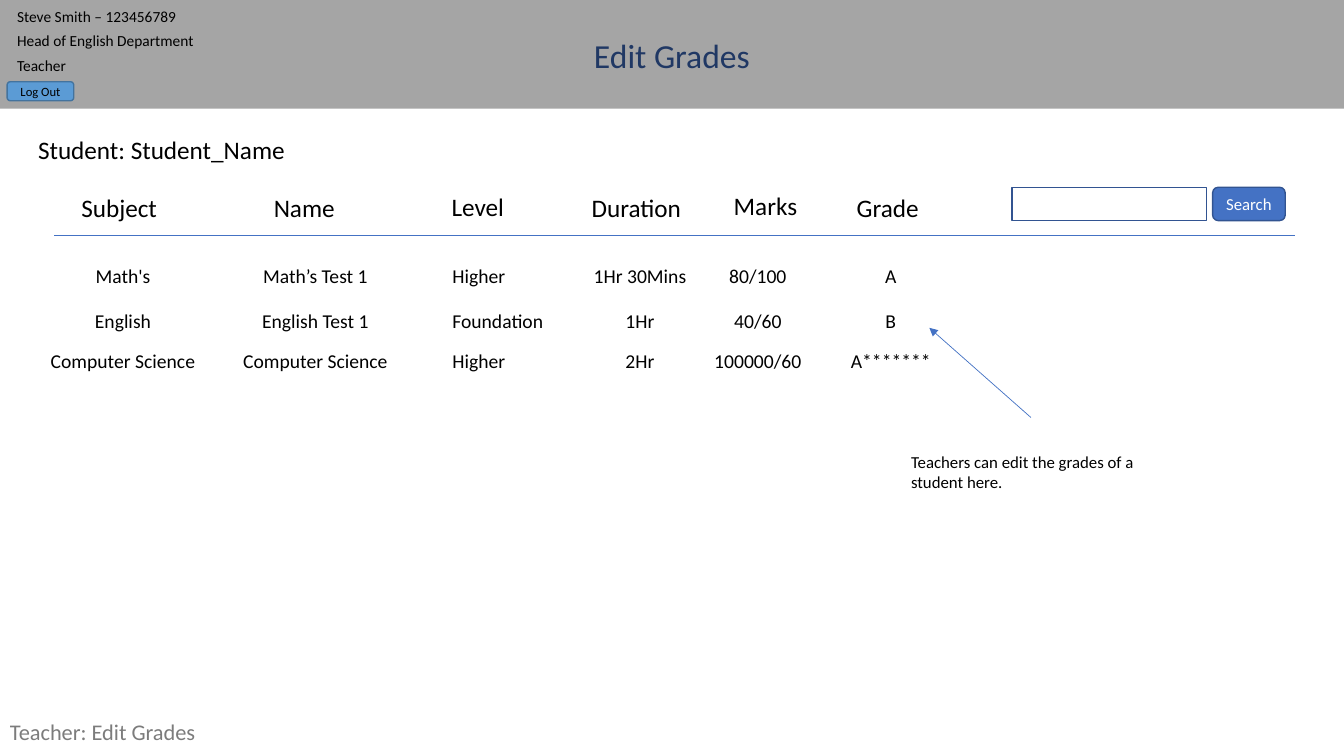
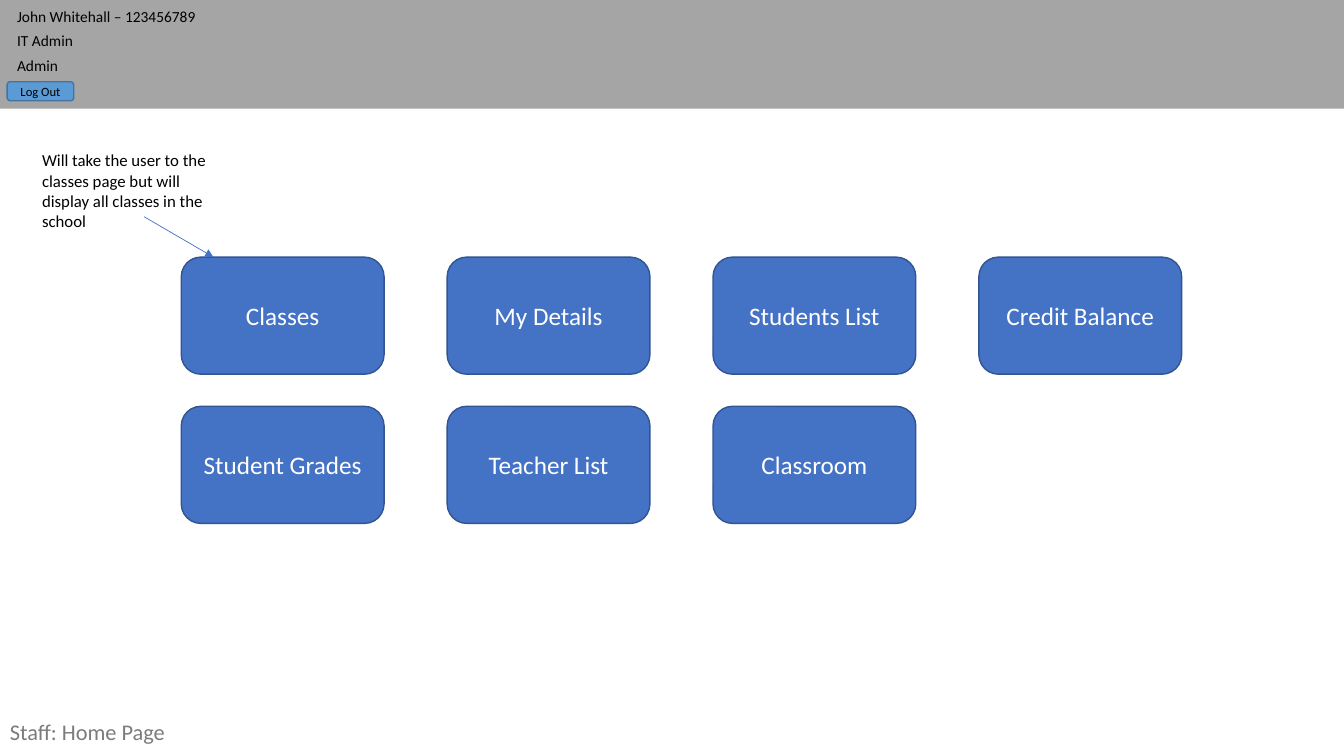
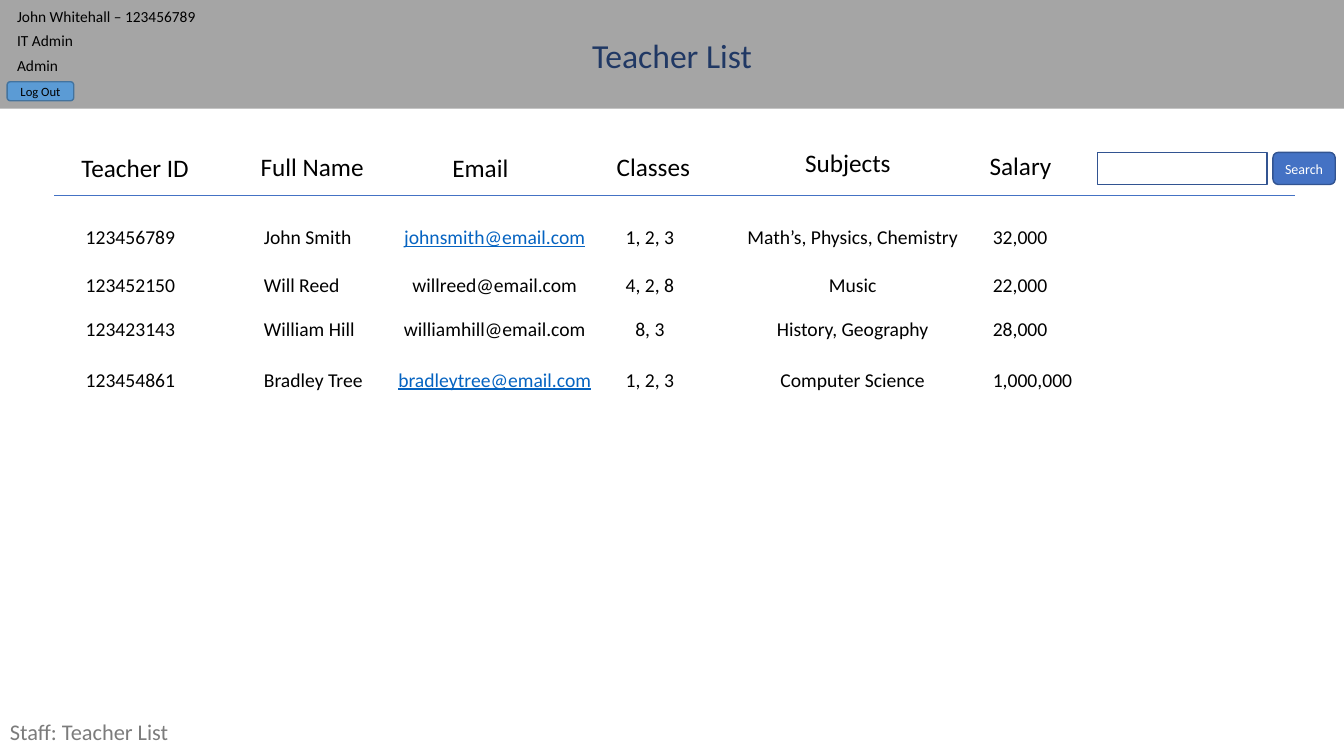
from pptx import Presentation
from pptx.dml.color import RGBColor
from pptx.enum.shapes import MSO_CONNECTOR, MSO_SHAPE
from pptx.enum.text import MSO_ANCHOR, PP_ALIGN
from pptx.oxml.ns import qn
from pptx.util import Cm, Pt
from lxml import etree

RECT, ROUNDED = MSO_SHAPE.RECTANGLE, MSO_SHAPE.ROUNDED_RECTANGLE
STRAIGHT = MSO_CONNECTOR.STRAIGHT
LEFT, CENTER = PP_ALIGN.LEFT, PP_ALIGN.CENTER
TOP, MIDDLE = MSO_ANCHOR.TOP, MSO_ANCHOR.MIDDLE

BLACK = RGBColor(0x00, 0x00, 0x00)
WHITE = RGBColor(0xFF, 0xFF, 0xFF)
BAND_GREY = RGBColor(0xA5, 0xA5, 0xA5)
FOOTER_GREY = RGBColor(0x7C, 0x7C, 0x7C)
NAVY = RGBColor(0x20, 0x38, 0x64)
BLUE = RGBColor(0x44, 0x72, 0xC4)
BLUE_EDGE = RGBColor(0x32, 0x54, 0x91)
LIGHT_BLUE = RGBColor(0x5B, 0x9B, 0xD5)
LIGHT_EDGE = RGBColor(0x43, 0x73, 0x9E)
LINK_BLUE = RGBColor(0x05, 0x63, 0xC1)

SLIDE_WIDTH, SLIDE_HEIGHT = 33.87, 19.05
LINKED = {"johnsmith@email.com", "bradleytree@email.com"}


def draw(slide, kind, box, fill=None, edge=None):
    shape = slide.shapes.add_shape(kind, *map(Cm, box))
    shape.shadow.inherit = False
    if fill is None:
        shape.fill.background()
    else:
        shape.fill.solid()
        shape.fill.fore_color.rgb = fill
    if edge is None:
        shape.line.fill.background()
    else:
        shape.line.color.rgb = edge
        shape.line.width = Pt(1)
    return shape


def write(shape, pieces, size, color=BLACK, align=LEFT, anchor=TOP):
    frame = shape.text_frame
    frame.word_wrap = True
    frame.vertical_anchor = anchor
    paragraph = frame.paragraphs[0]
    paragraph.alignment = align
    for piece in pieces:
        run = paragraph.add_run()
        run.text = piece
        linked = piece in LINKED
        look = {"name": "Calibri", "size": Pt(size), "underline": linked or None}
        for attribute, value in look.items():
            setattr(run.font, attribute, value)
        run.font.color.rgb = LINK_BLUE if linked else color
    return paragraph


deck = Presentation()
deck.slide_width, deck.slide_height = Cm(SLIDE_WIDTH), Cm(SLIDE_HEIGHT)

teacher = ["Steve Smith – 123456789", "Head of English Department", "Teacher"]
admin = ["John Whitehall – 123456789", "IT Admin", "Admin"]

pages = [
    {
        "user": teacher, "title": "Edit Grades", "footer": "Teacher: Edit Grades",
        "headings": [
            ("Subject", 1.8, 4.72, 2.5), ("Name", 6.65, 4.72, 2.1),
            ("Level", 11.13, 4.7, 1.9), ("Duration", 14.66, 4.72, 2.85),
            ("Marks", 18.24, 4.67, 2.2), ("Grade", 21.34, 4.72, 2.15),
            ("Student: Student_Name", 0.71, 3.25, 7.6),
        ],
        "field": (25.5, 4.72, 4.9, 0.84),
        "search": (30.56, 4.72, 1.83, 0.84), "search_size": 12,
        "tabs": [("ctr", 1.83), ("ctr", 6.68), ("l", 10.13),
                 ("ctr", 14.86), ("ctr", 17.83), ("ctr", 21.18)],
        "rows": [
            (6.53, ["Math's", "Math’s Test 1", "Higher", "1Hr 30Mins", "80/100", "A"]),
            (7.67, ["English", "English Test 1", "Foundation", "1Hr", "40/60", "B"]),
            (8.66, ["Computer Science", "Computer Science", "Higher", "2Hr",
                    "100000/60", "A*******"]),
        ],
        "rule": 5.92,
        "arrow": (25.98, 10.52, 23.42, 8.26),
        "note": ("Teachers can edit the grades of a student here.",
                 (22.71, 11.25, 6.88, 1.27)),
    },
    {
        "user": admin, "footer": "Staff: Home Page",
        "tiles": ["Classes", "My Details", "Students List", "Credit Balance",
                  "Student Grades", "Teacher List", "Classroom"],
        "arrow": (3.63, 5.46, 5.38, 6.48),
        "note": ("Will take the user to the classes page but will display "
                 "all classes in the school", (0.81, 3.66, 5.11, 2.31)),
    },
    {
        "user": admin, "title": "Teacher List", "footer": "Staff: Teacher List",
        "headings": [
            ("Teacher ID", 1.8, 3.71, 3.3), ("Full Name", 6.32, 3.68, 3.2),
            ("Email", 11.15, 3.71, 2.82), ("Classes", 15.29, 3.68, 2.45),
            ("Subjects", 20.04, 3.58, 3.1), ("Salary", 24.69, 3.66, 2.4),
        ],
        "field": (27.66, 3.84, 4.27, 0.81),
        "search": (32.08, 3.84, 1.57, 0.81), "search_size": 10,
        "tabs": [("l", 0.89), ("l", 5.38), ("ctr", 11.2),
                 ("ctr", 15.11), ("ctr", 20.22), ("l", 23.75)],
        "rows": [
            (5.54, ["123456789", "John Smith", "johnsmith@email.com", "1, 2, 3",
                    "Math’s, Physics, Chemistry", "32,000"]),
            (6.76, ["123452150", "Will Reed", "willreed@email.com", "4, 2, 8",
                    "Music", "22,000"]),
            (7.85, ["123423143", "William Hill", "williamhill@email.com", "8, 3",
                    "History, Geography", "28,000"]),
            (9.14, ["123454861", "Bradley Tree", "bradleytree@email.com", "1, 2, 3",
                    "Computer Science", "1,000,000"]),
        ],
        "rule": 4.93,
    },
]

for page in pages:
    slide = deck.slides.add_slide(deck.slide_layouts[6])
    add_textbox = slide.shapes.add_textbox

    draw(slide, RECT, (0, 0, SLIDE_WIDTH, 2.74), BAND_GREY)
    for index, (detail, width) in enumerate(zip(page["user"], (6.53, 5.23, 2.44))):
        box = (0.18, 0.05 + 0.62 * index, width, 0.74)
        write(add_textbox(*map(Cm, box)), [detail], 11)
    log_out = draw(slide, ROUNDED, (0.18, 2.06, 1.68, 0.48), LIGHT_BLUE, LIGHT_EDGE)
    write(log_out, ["Log Out"], 9, BLACK, CENTER, MIDDLE)
    if "title" in page:
        title = add_textbox(0, Cm(0.76), Cm(SLIDE_WIDTH), Cm(1.27))
        write(title, [page["title"]], 24, NAVY, CENTER)
    footer = add_textbox(0, Cm(17.91), Cm(6.68), Cm(1.14))
    write(footer, [page["footer"]], 16, FOOTER_GREY, LEFT, MIDDLE).line_spacing = 0.9

    for heading, left, top, width in page.get("headings", []):
        write(add_textbox(Cm(left), Cm(top), Cm(width), Cm(1.02)), [heading], 18)

    for top, cells in page.get("rows", []):
        pieces = [piece for cell in cells for piece in ("\t", cell)]
        row = write(add_textbox(Cm(1.02), Cm(top), Cm(31.62), Cm(0.86)), pieces, 14)
        stops = etree.SubElement(row._p.get_or_add_pPr(), qn("a:tabLst"))
        for align, position in page["tabs"]:
            etree.SubElement(stops, qn("a:tab"), pos=str(Cm(position)), algn=align)

    if "search" in page:
        draw(slide, RECT, page["field"], None, BLUE_EDGE)
        search = draw(slide, ROUNDED, page["search"], BLUE, BLUE_EDGE)
        write(search, ["Search"], page["search_size"], WHITE, CENTER, MIDDLE)

    for index, label in enumerate(page.get("tiles", [])):
        line, column = divmod(index, 4)
        box = (4.57 + 6.7 * column, 6.48 + 3.76 * line, 5.11, 2.95)
        tile = draw(slide, ROUNDED, box, BLUE, BLUE_EDGE)
        write(tile, [label], 18, WHITE, CENTER, MIDDLE)

    if "note" in page:
        note, box = page["note"]
        write(add_textbox(*map(Cm, box)), [note], 12)

    strokes = []
    if "rule" in page:
        strokes.append(((1.37, page["rule"], 32.64, page["rule"]), False))
    if "arrow" in page:
        strokes.append((page["arrow"], True))
    for ends, pointed in strokes:
        stroke = slide.shapes.add_connector(STRAIGHT, *map(Cm, ends))
        stroke.line.color.rgb = BLUE
        stroke.line.width = Pt(0.5)
        if pointed:
            etree.SubElement(stroke.line._get_or_add_ln(), qn("a:tailEnd"), type="triangle")
        etree.SubElement(stroke._element.spPr, qn("a:effectLst"))

deck.save("out.pptx")
